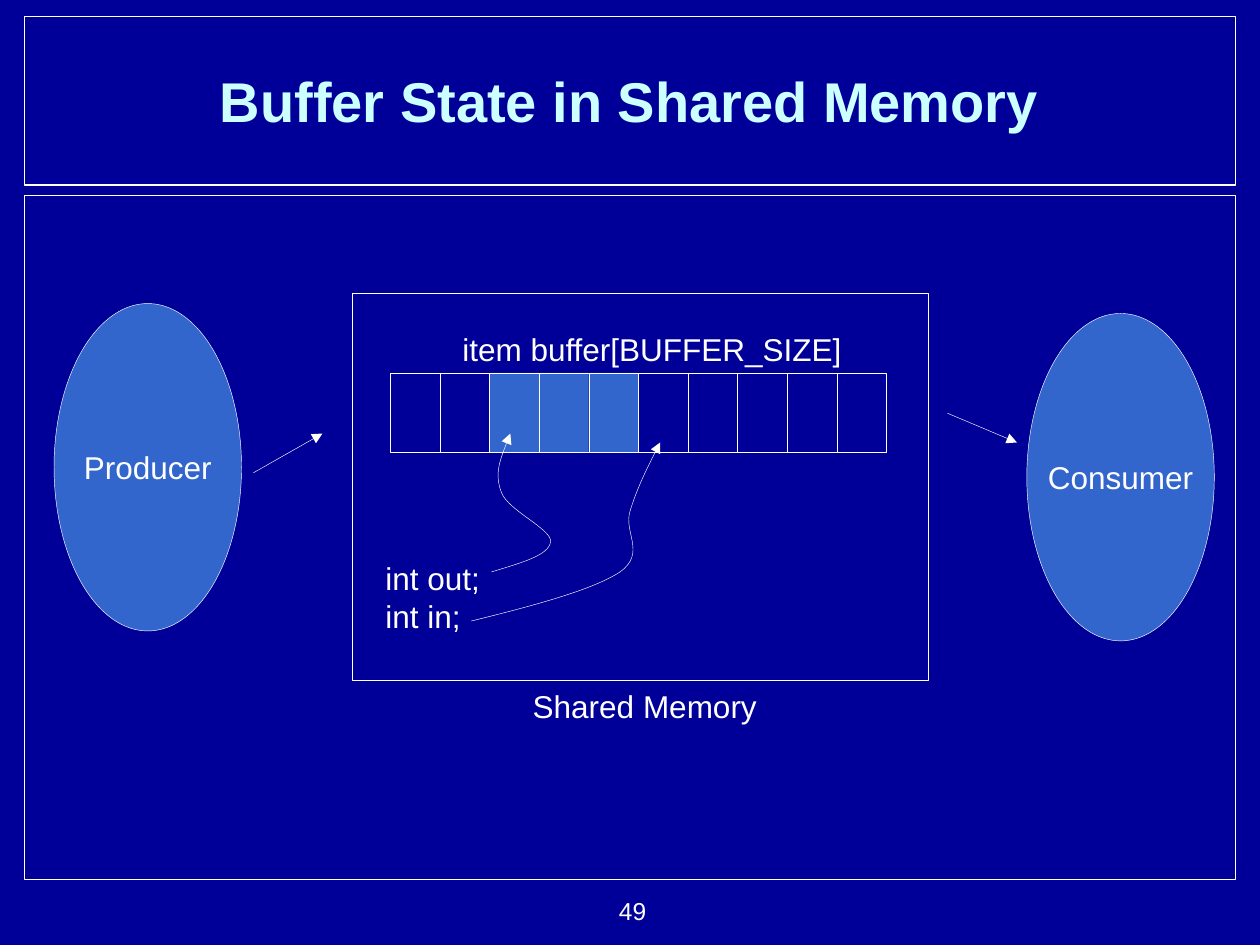
from typing import NamedTuple

from lxml import etree
from pptx import Presentation
from pptx.dml.color import RGBColor
from pptx.enum.shapes import MSO_CONNECTOR, MSO_SHAPE
from pptx.enum.text import MSO_ANCHOR, PP_ALIGN
from pptx.oxml.ns import qn
from pptx.util import Cm, Pt

NAVY = RGBColor(0x00, 0x00, 0x99)
BLUE = RGBColor(0x33, 0x66, 0xCC)
WHITE = RGBColor(0xFF, 0xFF, 0xFF)
PALE_CYAN = RGBColor(0xCC, 0xFF, 0xFF)

RECTANGLE, OVAL = MSO_SHAPE.RECTANGLE, MSO_SHAPE.OVAL
STRAIGHT = MSO_CONNECTOR.STRAIGHT
LEFT, CENTER, RIGHT = PP_ALIGN.LEFT, PP_ALIGN.CENTER, PP_ALIGN.RIGHT
TOP, MIDDLE = MSO_ANCHOR.TOP, MSO_ANCHOR.MIDDLE

FONT = "Arial"
THIN, FRAME_LINE = 0.25, 0.75
TITLE_LAYOUT = 5


class Box(NamedTuple):
    """Left, top, width and height in centimetres."""
    left: float
    top: float
    width: float
    height: float

    def lengths(self):
        return [Cm(value) for value in self]


class Label(NamedTuple):
    box: Box
    text: str
    size: float = 18
    align: PP_ALIGN = LEFT


class Process(NamedTuple):
    name: str
    box: Box


class Arrow(NamedTuple):
    start: tuple
    end: tuple


FRAMES = [Box(0.5, 0.33, 24.41, 3.4), Box(0.5, 3.94, 24.41, 13.79)]
TITLE_BOX = Box(0.89, 0.43, 23.6, 3.18)
SHARED_MEMORY = Box(7.11, 5.92, 11.61, 7.8)
FIRST_CELL = Box(7.87, 7.52, 1, 1.6)
CELL_COUNT = 10
FULL_CELLS = range(2, 5)

LABELS = [
    Label(Box(7.52, 11.15, 2.59, 1.78), "int out;\nint in;"),
    Label(Box(9.07, 6.53, 8.15, 1.02), "item buffer[BUFFER_SIZE]"),
    Label(Box(10.49, 13.72, 5.03, 1.02), "Shared Memory"),
    Label(Box(10.64, 17.93, 2.64, 0.86), "49", 14, RIGHT),
]
PROCESSES = [
    Process("Producer", Box(1.09, 6.12, 3.78, 6.6)),
    Process("Consumer", Box(20.7, 6.32, 3.78, 6.6)),
]
ARROWS = [
    Arrow((5.11, 9.53), (6.5, 8.74)),
    Arrow((19.1, 8.33), (20.5, 8.92)),
]
# Each curve is a start point, then two control points and an end per segment.
OUT_POINTER = [
    (9.91, 11.53),
    (10.49, 11.35), (11.07, 11.2), (11.1, 10.92),
    (11.13, 10.67), (10.24, 10.29), (10.11, 9.93),
    (9.96, 9.55), (10.13, 9.14), (10.29, 8.74),
]
IN_POINTER = [
    (9.5, 12.52),
    (10.72, 12.22), (11.96, 11.89), (12.5, 11.53),
    (13.03, 11.15), (12.57, 10.74), (12.7, 10.31),
    (12.83, 9.88), (13.06, 9.4), (13.31, 8.92),
]


def write_text(frame, text: str, *, size: float = 18, color: RGBColor = WHITE,
               bold: bool = False, align: PP_ALIGN = LEFT,
               anchor: MSO_ANCHOR = TOP, wrap: bool = False) -> None:
    frame.text = text
    frame.word_wrap = wrap
    frame.vertical_anchor = anchor
    for paragraph in frame.paragraphs:
        paragraph.alignment = align
        font = paragraph.font
        font.name, font.size, font.bold = FONT, Pt(size), bold
        font.color.rgb = color


def style_line(shape, width: float = THIN) -> None:
    shape.line.color.rgb = WHITE
    shape.line.width = Pt(width)


def add_arrowhead(shape) -> None:
    etree.SubElement(shape.line._get_or_add_ln(), qn("a:tailEnd"), type="triangle")


def add_outline(slide, kind: MSO_SHAPE, box: Box, fill: RGBColor | None = None,
                line_width: float = THIN):
    shape = slide.shapes.add_shape(kind, *box.lengths())
    shape.shadow.inherit = False
    if fill is None:
        shape.fill.background()
    else:
        shape.fill.solid()
        shape.fill.fore_color.rgb = fill
    style_line(shape, line_width)
    return shape


def add_label(slide, label: Label) -> None:
    text_box = slide.shapes.add_textbox(*label.box.lengths())
    write_text(text_box.text_frame, label.text, size=label.size, align=label.align)


def add_buffer(slide) -> None:
    for index in range(CELL_COUNT):
        cell = FIRST_CELL._replace(left=FIRST_CELL.left + index * FIRST_CELL.width)
        add_outline(slide, RECTANGLE, cell, BLUE if index in FULL_CELLS else None)


def add_process(slide, process: Process) -> None:
    oval = add_outline(slide, OVAL, process.box, BLUE)
    write_text(oval.text_frame, process.name, align=CENTER, anchor=MIDDLE)


def add_arrow(slide, arrow: Arrow) -> None:
    ends = [Cm(value) for value in arrow.start + arrow.end]
    connector = slide.shapes.add_connector(STRAIGHT, *ends)
    style_line(connector)
    add_arrowhead(connector)
    etree.SubElement(connector._element.spPr, qn("a:effectLst"))


def add_curved_arrow(slide, points: list) -> None:
    """Draw a freeform and merge every three line steps into a Bezier segment."""
    start, *rest = [(Cm(x), Cm(y)) for x, y in points]
    builder = slide.shapes.build_freeform(*start)
    builder.add_line_segments(rest, close=False)
    shape = builder.convert_to_shape()
    steps = list(shape._element.iter(qn("a:lnTo")))
    for first in range(0, len(steps), 3):
        curve = etree.Element(qn("a:cubicBezTo"))
        steps[first].addprevious(curve)
        for step in steps[first:first + 3]:
            curve.append(step[0])
            step.getparent().remove(step)
    shape.shadow.inherit = False
    shape.fill.background()
    style_line(shape)
    add_arrowhead(shape)


def main() -> None:
    presentation = Presentation()
    presentation.slide_width, presentation.slide_height = Cm(25.4), Cm(19.05)
    slide = presentation.slides.add_slide(presentation.slide_layouts[TITLE_LAYOUT])
    slide.background.fill.solid()
    slide.background.fill.fore_color.rgb = NAVY

    title = slide.shapes.title
    title.left, title.top, title.width, title.height = TITLE_BOX.lengths()
    write_text(title.text_frame, "Buffer State in Shared Memory", size=32,
               color=PALE_CYAN, bold=True, align=CENTER, anchor=MIDDLE, wrap=True)

    for frame in FRAMES:
        add_outline(slide, RECTANGLE, frame, line_width=FRAME_LINE)
    add_outline(slide, RECTANGLE, SHARED_MEMORY)
    add_buffer(slide)
    for label in LABELS:
        add_label(slide, label)
    for pointer in (OUT_POINTER, IN_POINTER):
        add_curved_arrow(slide, pointer)
    for process in PROCESSES:
        add_process(slide, process)
    for arrow in ARROWS:
        add_arrow(slide, arrow)

    presentation.save("out.pptx")


if __name__ == "__main__":
    main()
